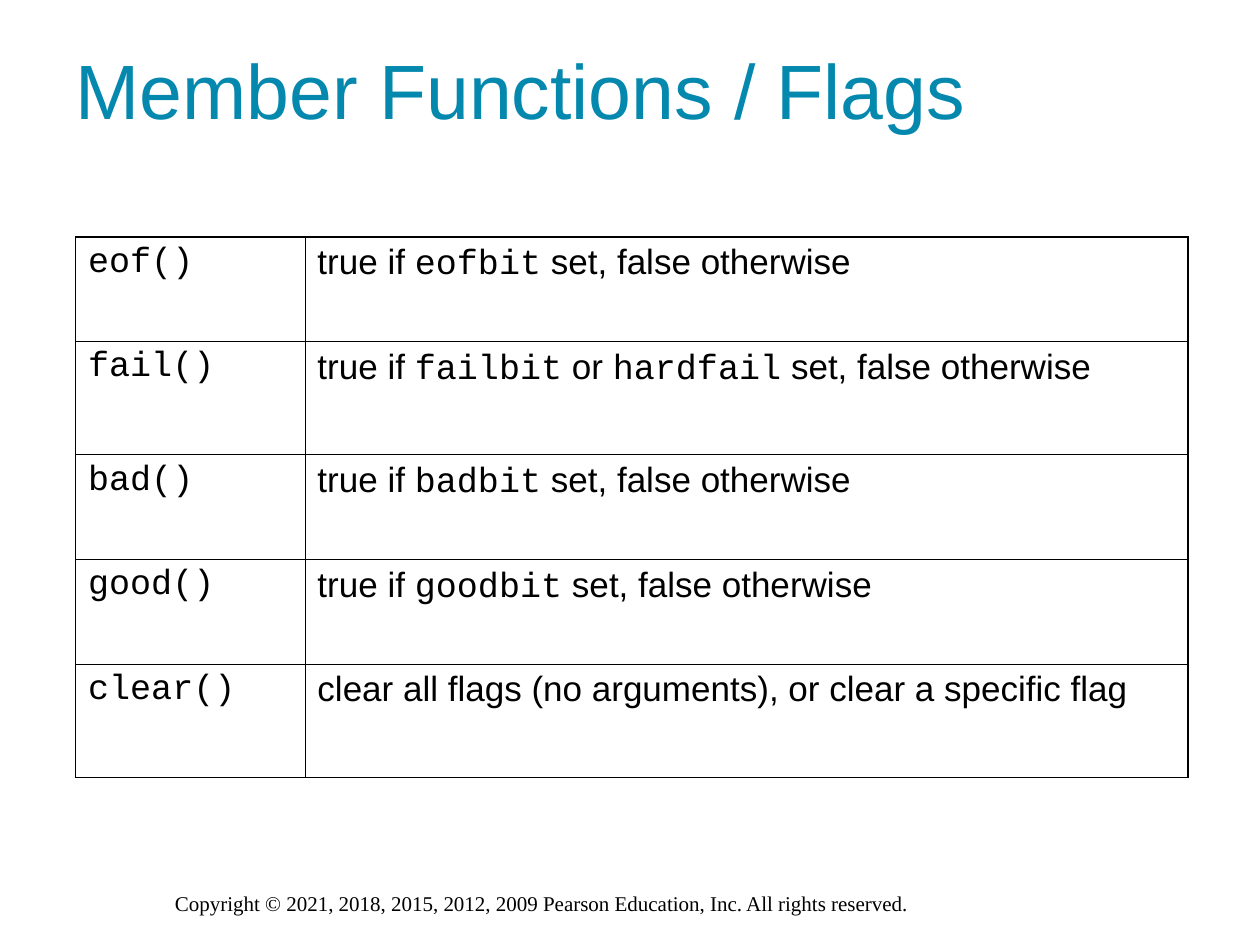
from lxml import etree
from pptx import Presentation
from pptx import util as u
from pptx.dml.color import RGBColor
from pptx.enum import text
from pptx.oxml.ns import qn

COLORS = {"title": "0488AE", "ink": "000000", "paper": "FFFFFF"}
BODY, CODE, SERIF = "Arial", "Courier New", "Times New Roman"
COLUMNS, ROWS = 100, 75  # grid over the whole slide
OUTER, INNER = 1.08, 0.45  # table rules in points

# Text between backticks is code
FLAGS = [
    ("`eof()`", "true if `eofbit` set, false otherwise"),
    ("`fail()`", "true if `failbit` or `hardfail` set, false otherwise"),
    ("`bad()`", "true if `badbit` set, false otherwise"),
    ("`good()`", "true if `goodbit` set, false otherwise"),
    ("`clear()`", "clear all flags (no arguments), or clear a specific flag"),
]
FLAG_COLUMNS = [18.2, 70.1]
FLAG_ROWS = [8.3, 9, 8.3, 8.3, 9]


def write(frame, content, font=BODY, size=20, color="ink"):
    """Fill a text frame with left-aligned text, code parts in the code font."""
    paragraph = frame.paragraphs[0]
    paragraph.alignment = text.PP_ALIGN.LEFT
    for i, part in enumerate(content.split("`")):
        if part:
            run = paragraph.add_run()
            run.text = part
            run.font.name = CODE if i % 2 else font
            run.font.size = u.Pt(size)
            run.font.color.rgb = RGBColor.from_string(COLORS[color])


def rule_cell(cell, widths):
    """Draw the cell's borders; widths run left, right, top, bottom."""
    properties = cell._tc.get_or_add_tcPr()
    for i, (side, width) in enumerate(zip("LRTB", widths)):
        line = etree.Element(qn(f"a:ln{side}"), w=str(u.Pt(width)))
        fill = etree.SubElement(line, qn("a:solidFill"))
        etree.SubElement(fill, qn("a:srgbClr"), val=COLORS["ink"])
        properties.insert(i, line)


class Deck:
    def __init__(self):
        self.show = Presentation()
        self.show.slide_width, self.show.slide_height = u.Inches(10), u.Inches(7.5)
        self.slide = self.show.slides.add_slide(self.show.slide_layouts[5])

    def x(self, columns):
        return round(self.show.slide_width * columns / COLUMNS)

    def y(self, rows):
        return round(self.show.slide_height * rows / ROWS)

    def box(self, left, top, width, height):
        return self.x(left), self.y(top), self.x(width), self.y(height)

    def title(self, content, *place):
        title = self.slide.shapes.title
        title.left, title.top, title.width, title.height = self.box(*place)
        frame = title.text_frame
        frame.auto_size = text.MSO_AUTO_SIZE.NONE
        frame.vertical_anchor = text.MSO_ANCHOR.MIDDLE
        write(frame, content, size=44, color="title")

    def label(self, content, *place, **style):
        frame = self.slide.shapes.add_textbox(*self.box(*place)).text_frame
        frame.word_wrap = True
        write(frame, content, **style)

    def table(self, entries, left, top, columns, rows):
        place = self.box(left, top, sum(columns), sum(rows))
        table = self.slide.shapes.add_table(len(rows), len(columns), *place).table
        table.first_row = table.horz_banding = False
        for column, width in zip(table.columns, columns):
            column.width = self.x(width)
        last_row, last_column = len(rows) - 1, len(columns) - 1
        for r, entry in enumerate(entries):
            table.rows[r].height = self.y(rows[r])
            for c, content in enumerate(entry):
                cell = table.cell(r, c)
                cell.fill.solid()
                cell.fill.fore_color.rgb = RGBColor.from_string(COLORS["paper"])
                write(cell.text_frame, content)
                edges = c == 0, c == last_column, r == 0, r == last_row
                rule_cell(cell, [OUTER if edge else INNER for edge in edges])


def main():
    deck = Deck()
    # Footer
    deck.label("Copyright © 2021, 2018, 2015, 2012, 2009 Pearson Education, Inc. "
               "All rights reserved.", 12.9, 70.2, 74.2, 3, font=SERIF, size=12)
    # Heading
    deck.title("Member Functions / Flags", 5, 0.8, 83.3, 12.5)
    # Stream state functions
    deck.table(FLAGS, 6, 18.8, FLAG_COLUMNS, FLAG_ROWS)
    deck.show.save("out.pptx")


if __name__ == "__main__":
    main()
